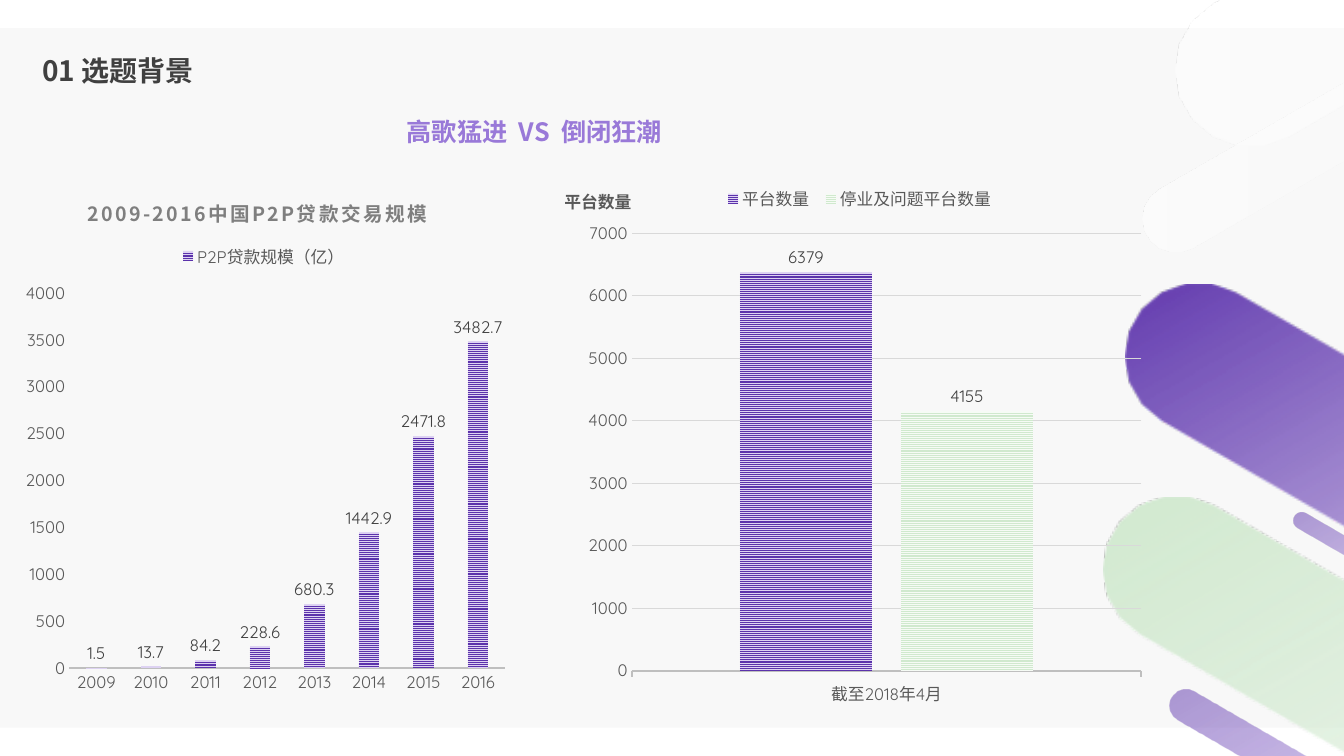
import math
import lxml.etree
import pptx
import pptx.chart.data
import pptx.dml.color
import pptx.enum.chart
import pptx.enum.dml
import pptx.enum.shapes
import pptx.enum.text
import pptx.oxml
import pptx.oxml.ns
import pptx.util

Inches = pptx.util.Inches
RGBColor = pptx.dml.color.RGBColor
PANEL = RGBColor(0xF8, 0xF8, 0xF8)
PURPLE = RGBColor(0x5B, 0x32, 0xAB)
VIOLET = RGBColor(0x5F, 0x34, 0xB2)
LILAC = RGBColor(0xDD, 0xD2, 0xF2)
HEADING = RGBColor(0x99, 0x79, 0xD8)
GREEN = RGBColor(0xD0, 0xE9, 0xCE)
PALE_GREEN = RGBColor(0xF6, 0xFB, 0xF5)
WHITE = RGBColor(0xFF, 0xFF, 0xFF)
DARK = RGBColor(0x40, 0x40, 0x40)
AXIS_TEXT = RGBColor(0x59, 0x59, 0x59)
TITLE_GREY = RGBColor(0x7F, 0x7F, 0x7F)
AXIS_LINE = RGBColor(0xBF, 0xBF, 0xBF)
GRID = RGBColor(0xD9, 0xD9, 0xD9)
CJK = "Noto Sans CJK SC"
LATIN = "Quicksand"


def write_text(frame, text, size, color, align=None, line=None, before=None, spacing=None):
    para = frame.paragraphs[0]
    para.alignment, para.line_spacing = align, line
    if before is not None:
        para.space_before = pptx.util.Pt(before)
    span = para.add_run()
    span.text = text
    span.font.size = pptx.util.Pt(size)
    span.font.bold = True
    span.font.name = CJK
    span.font.color.rgb = color
    properties = span.font._element
    lxml.etree.SubElement(properties, pptx.oxml.ns.qn("a:ea")).set("typeface", CJK)
    if spacing:
        properties.set("spc", str(spacing))


def place(element, index, inner=False, **fractions):
    for old in element.findall(pptx.oxml.ns.qn("c:layout")):
        element.remove(old)
    layout = lxml.etree.Element(pptx.oxml.ns.qn("c:layout"))
    manual = lxml.etree.SubElement(layout, pptx.oxml.ns.qn("c:manualLayout"))
    settings = {"layoutTarget": "inner"} if inner else {}
    settings.update(xMode="edge", yMode="edge", **fractions)
    for name, value in settings.items():
        lxml.etree.SubElement(manual, pptx.oxml.ns.qn("c:" + name)).set("val", str(value))
    element.insert(index, layout)


deck = pptx.Presentation()
deck.slide_width, deck.slide_height = Inches(13.33), Inches(7.5)
page = deck.slides.add_slide(deck.slide_layouts[6])

panel = page.shapes.add_shape(
    pptx.enum.shapes.MSO_SHAPE.RECTANGLE, 0, Inches(0.28), Inches(13.33), Inches(6.94))
panel.shadow.inherit = False
panel.fill.solid()
panel.fill.fore_color.rgb = PANEL
panel.line.fill.background()

FADE_TAIL = [(85, WHITE, 50), (100, WHITE, 50)]
STRONG = [(0, PURPLE, 100), (23, VIOLET, 40)] + FADE_TAIL
SOFT = [(0, PURPLE, 50), (23, VIOLET, 40)] + FADE_TAIL
MINT = [(0, GREEN, 100), (22, GREEN, 50)] + FADE_TAIL
MIST = [(0, WHITE, 50), (21, WHITE, 29), (85, WHITE, 0), (100, WHITE, 0)]
capsules = [
    (9.9, 7.58, 20.55, 1.47, 210, STRONG),
    (10.96, -2.65, 11.87, 1.51, 330, MIST),
    (11.02, 0.68, 5.27, 0.67, 330, MIST),
    (9.68, 9.7, 20.55, 1.47, 210, MINT),
    (12.68, 5.65, 2.44, 0.17, 210, SOFT),
    (11.31, 7.93, 4.69, 0.33, 210, SOFT),
]
for left, top, width, height, rotation, stops in capsules:
    side = 1 if rotation == 210 else -1
    radius = height / 2
    middle_x, middle_y = left + width / 2, top + radius
    flat_x = middle_x - side * width / 2
    cap_x = middle_x + side * (width / 2 - radius)
    outline = [(flat_x, top)]
    for degrees in range(-90, 91, 20):
        angle = math.radians(degrees)
        outline.append((cap_x + side * radius * math.cos(angle),
                        middle_y + radius * math.sin(angle)))
    outline.append((flat_x, top + height))
    points = [(Inches(x), Inches(y)) for x, y in outline]
    builder = page.shapes.build_freeform(*points[0])
    builder.add_line_segments(points[1:], close=True)
    capsule = builder.convert_to_shape()
    capsule.rotation = rotation
    capsule.shadow.inherit = False
    capsule.line.fill.background()
    capsule.fill.gradient()
    capsule.fill.gradient_angle = 150 if side == 1 else 330
    stop_list = capsule._element.spPr.find(".//" + pptx.oxml.ns.qn("a:gsLst"))
    stop_list.clear()
    for position, color, opacity in stops:
        stop = lxml.etree.SubElement(
            stop_list, pptx.oxml.ns.qn("a:gs"), pos=str(position * 1000))
        shade = lxml.etree.SubElement(stop, pptx.oxml.ns.qn("a:srgbClr"), val=str(color))
        lxml.etree.SubElement(shade, pptx.oxml.ns.qn("a:alpha"), val=str(opacity * 1000))

section_box = page.shapes.add_textbox(Inches(0.32), Inches(0.43), Inches(4.99), Inches(0.58))
section_box.text_frame.word_wrap = True
section_box.text_frame.vertical_anchor = pptx.enum.text.MSO_ANCHOR.MIDDLE
write_text(section_box.text_frame, "01 选题背景", 20, DARK, line=0.9, before=10)

heading_box = page.shapes.add_textbox(Inches(-0.41), Inches(0.95), Inches(11.42), Inches(0.5))
heading_box.text_frame.word_wrap = True
heading_box.text_frame.auto_size = pptx.enum.text.MSO_AUTO_SIZE.SHAPE_TO_FIT_TEXT
write_text(heading_box.text_frame, "高歌猛进  VS  倒闭狂潮", 18, HEADING,
           align=pptx.enum.text.PP_ALIGN.CENTER, line=1.5)

platforms = {
    "frame": (5.31, 1.79, 6.02, 5.21),
    "categories": ["截至2018年4月"],
    "series": [("平台数量", [6379], PURPLE, LILAC),
               ("停业及问题平台数量", [4155], GREEN, PALE_GREEN)],
    "overlap": -22, "maximum": 7000, "step": 1000, "grid": True,
    "tick": pptx.enum.chart.XL_TICK_MARK.OUTSIDE,
    "plot": {"x": 0.159, "y": 0.101, "w": 0.841, "h": 0.84},
    "legend": {"x": 0.3, "y": 0, "w": 0.47, "h": 0.07},
    "title": ("平台数量", 12, AXIS_TEXT, None, {"x": 0.043, "y": 0.007}),
}
loans = {
    "frame": (0.15, 1.76, 4.96, 5.21),
    "categories": [str(year) for year in range(2009, 2017)],
    "series": [("P2P贷款规模（亿）",
                [1.5, 13.7, 84.2, 228.6, 680.3, 1442.9, 2471.8, 3482.7], PURPLE, LILAC)],
    "overlap": 0, "maximum": 4000, "step": 500, "grid": False,
    "tick": pptx.enum.chart.XL_TICK_MARK.NONE,
    "plot": {"x": 0.108, "y": 0.22, "w": 0.872, "h": 0.714},
    "legend": {"x": 0.325, "y": 0.118},
    "title": ("2009-2016中国P2P贷款交易规模", 14, TITLE_GREY, 150, {"x": 0.138, "y": 0.028}),
}
for facts in (platforms, loans):
    data = pptx.chart.data.CategoryChartData()
    data.categories = facts["categories"]
    for name, values, *_ in facts["series"]:
        data.add_series(name, values)
    chart = page.shapes.add_chart(
        pptx.enum.chart.XL_CHART_TYPE.COLUMN_CLUSTERED,
        *[Inches(length) for length in facts["frame"]], data).chart
    chart.font.name = LATIN
    chart.font.size = pptx.util.Pt(12)
    chart.font.color.rgb = AXIS_TEXT

    columns = chart.plots[0]
    columns.gap_width, columns.overlap = 164, facts["overlap"]
    columns.vary_by_categories = False
    for series, (_, _, stripe, ground) in zip(columns.series, facts["series"]):
        fill = series.format.fill
        fill.patterned()
        fill.pattern = pptx.enum.dml.MSO_PATTERN.NARROW_HORIZONTAL
        fill.fore_color.rgb, fill.back_color.rgb = stripe, ground
        labels = series.data_labels
        labels.show_value = True
        labels.position = pptx.enum.chart.XL_LABEL_POSITION.OUTSIDE_END
        labels.font.name = LATIN
        labels.font.size = pptx.util.Pt(12)
        labels.font.color.rgb = DARK

    category_axis, value_axis = chart.category_axis, chart.value_axis
    category_axis.major_tick_mark = facts["tick"]
    category_axis.format.line.color.rgb = AXIS_LINE
    category_axis.format.line.width = pptx.util.Pt(1.5)
    value_axis.minimum_scale, value_axis.maximum_scale = 0, facts["maximum"]
    value_axis.major_unit = facts["step"]
    value_axis.major_tick_mark = pptx.enum.chart.XL_TICK_MARK.NONE
    value_axis.format.line.fill.background()
    value_axis.has_major_gridlines = facts["grid"]
    if facts["grid"]:
        value_axis.major_gridlines.format.line.color.rgb = GRID
        value_axis.major_gridlines.format.line.width = pptx.util.Pt(0.75)

    chart.has_title = not facts["grid"]
    title = value_axis.axis_title if facts["grid"] else chart.chart_title
    words, size, color, spacing, spot = facts["title"]
    write_text(title.text_frame, words, size, color, spacing=spacing)
    title.text_frame._txBody.bodyPr.set("rot", "0")
    title.text_frame._txBody.bodyPr.set("vert", "horz")
    place(title._element, 1, **spot)

    chart.has_legend = True
    chart.legend.position = pptx.enum.chart.XL_LEGEND_POSITION.TOP
    chart.legend.include_in_layout = False
    place(chart.legend._element, 1, **facts["legend"])
    place(chart._chartSpace.chart.plotArea, 0, inner=True, **facts["plot"])

deck.save("out.pptx")
